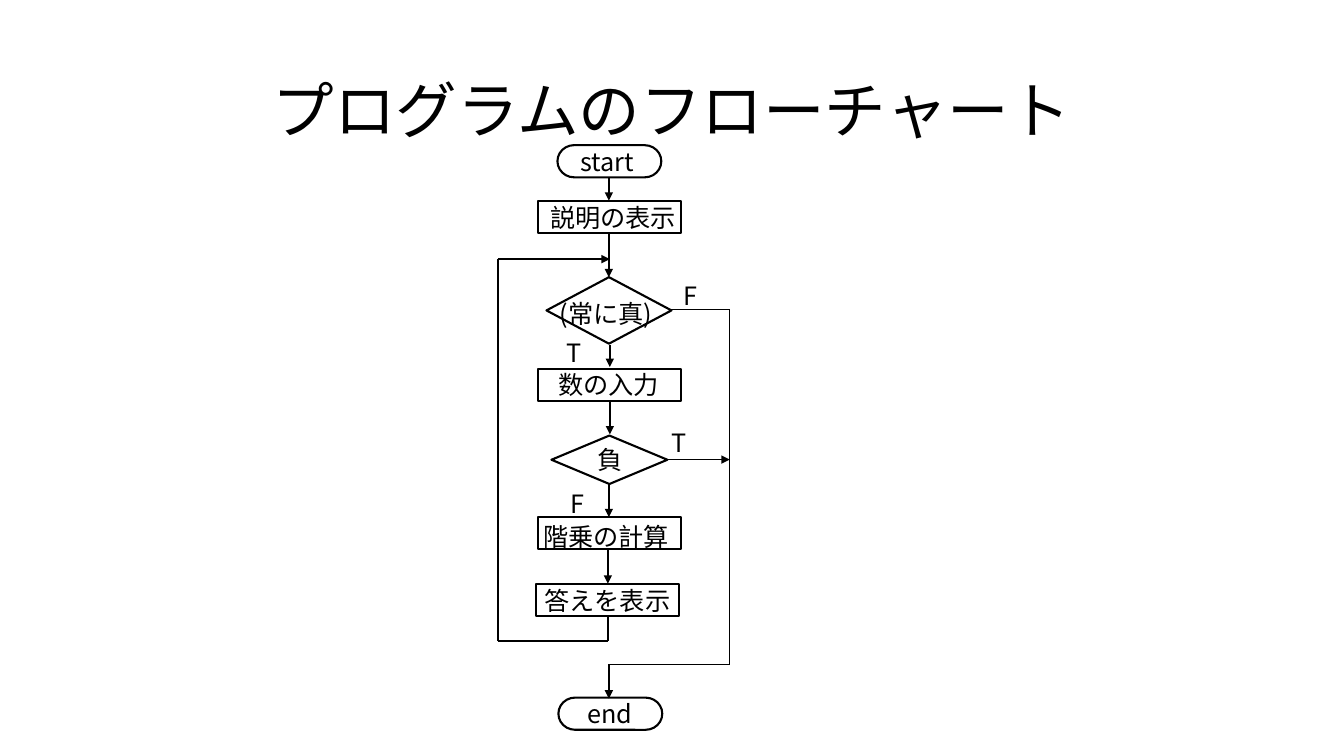
import itertools

import pptx
import pptx.dml.color
import pptx.enum.shapes
import pptx.enum.text
import pptx.oxml.ns
import pptx.util
from lxml import etree

Pt = pptx.util.Pt
Shape = pptx.enum.shapes.MSO_SHAPE
COLORS = {"ink": "000000"}
FONT = "Noto Sans CJK JP"
LABEL_WIDTH, LABEL_HEIGHT = 113.8, 29
SPINE = 79.2

BLOCK_SIZES = {
    "terminator": (Shape.FLOWCHART_TERMINATOR, 74.2, 23),
    "process": (Shape.RECTANGLE, 102.2, 23),
    "loop test": (Shape.FLOWCHART_DECISION, 89.3, 47.5),
    "sign test": (Shape.FLOWCHART_DECISION, 82.8, 34.6),
}
# kind, centre x, top, wording, wording's offset from the block's corner
STEPS = [
    ("terminator", 79.6, 0, "start", 9.4, -2.9),
    ("process", 79.9, 39.6, "説明の表示", 1.4, -2.2),
    ("loop test", 79.3, 94.3, "(常に真)", 2.2, 11.5),
    ("process", 79.9, 159.8, "数の入力", 7.2, -3.6),
    ("sign test", 79.6, 207.4, "負", 25.9, 2.9),
    ("process", 79.9, 265.7, "階乗の計算", -3.6, -0.7),
    ("process", 78.5, 313.2, "答えを表示", -1.4, -2.2),
    ("terminator", 80.3, 394.6, "end", 13.7, -2.9),
]
BRANCH_LABELS = [
    ("F", 125.3, 92.9),
    ("T", 41.8, 133.9),
    ("T", 116.6, 198),
    ("F", 44.6, 241.2),
]
# corner points, whether the last segment has an arrowhead
ROUTES = [
    ([(SPINE, 23), (SPINE, 39.6)], True),
    ([(SPINE, 62.6), (SPINE, 94.3)], True),
    ([(79.9, 142.6), (79.9, 158.4)], True),
    ([(79.9, 182.9), (79.9, 206.6)], True),
    ([(SPINE, 241.9), (SPINE, 265.7)], True),
    ([(78.5, 288.7), (78.5, 313.2)], True),
    ([(78.5, 336.2), (78.5, 354.2), (0, 354.2), (0, 81.4), (79.9, 81.4)], True),
    ([(123.8, 117.4), (165.6, 117.4), (165.6, 370.8), (79.9, 370.8)], False),
    ([(SPINE, 370.8), (SPINE, 395.3)], True),
    ([(121, 224.6), (165.6, 224.6)], True),
]


def ink():
    return pptx.dml.color.RGBColor.from_string(COLORS["ink"])


def add_text(slide, wording, left, top, width, height, size):
    box = slide.shapes.add_textbox(Pt(left), Pt(top), Pt(width), Pt(height))
    frame = box.text_frame
    frame.word_wrap = True
    frame.text = wording
    run = frame.paragraphs[0].runs[0]
    run.font.name = FONT
    run.font.size = Pt(size)
    run.font.color.rgb = ink()
    east_asian = etree.SubElement(run.font._element, pptx.oxml.ns.qn("a:ea"))
    east_asian.set("typeface", FONT)
    return frame


def add_title(slide, left, top, width, height):
    frame = add_text(slide, "プログラムのフローチャート", left, top, width, height, 44)
    frame.vertical_anchor = pptx.enum.text.MSO_ANCHOR.MIDDLE
    frame.paragraphs[0].alignment = pptx.enum.text.PP_ALIGN.CENTER
    frame.paragraphs[0].line_spacing = 0.9


def add_label(slide, wording, left, top):
    add_text(slide, wording, left, top, LABEL_WIDTH, LABEL_HEIGHT, 18)


def add_block(slide, kind, center, top):
    """Draw an outlined block and return its left edge."""
    preset, width, height = BLOCK_SIZES[kind]
    left = center - width / 2
    block = slide.shapes.add_shape(preset, Pt(left), Pt(top), Pt(width), Pt(height))
    block.shadow.inherit = False
    block.fill.background()
    block.line.color.rgb = ink()
    block.line.width = Pt(1.5)
    return left


def add_segment(slide, start, end, arrow):
    segment = slide.shapes.add_connector(
        pptx.enum.shapes.MSO_CONNECTOR.STRAIGHT, *map(Pt, start + end))
    segment.line.color.rgb = ink()
    segment.line.width = Pt(1)
    qn = pptx.oxml.ns.qn
    properties = segment._element.spPr
    if arrow:
        etree.SubElement(properties.find(qn("a:ln")), qn("a:tailEnd"), type="triangle")
    etree.SubElement(properties, qn("a:effectLst"))


def add_flowchart(slide, left, top):
    for points, arrow in ROUTES:
        placed = [(left + x, top + y) for x, y in points]
        for start, end in itertools.pairwise(placed):
            add_segment(slide, start, end, arrow and end == placed[-1])
    for kind, center, y, wording, dx, dy in STEPS:
        block_left = add_block(slide, kind, left + center, top + y)
        add_label(slide, wording, block_left + dx, top + y + dy)
    for wording, x, y in BRANCH_LABELS:
        add_label(slide, wording, left + x, top + y)


def main():
    deck = pptx.Presentation()
    deck.slide_width, deck.slide_height = Pt(960), Pt(540)
    slide = deck.slides.add_slide(deck.slide_layouts[6])
    add_title(slide, 66, 28.8, 828, 104.4)
    add_flowchart(slide, 355.7, 103.7)
    deck.save("out.pptx")


if __name__ == "__main__":
    main()
